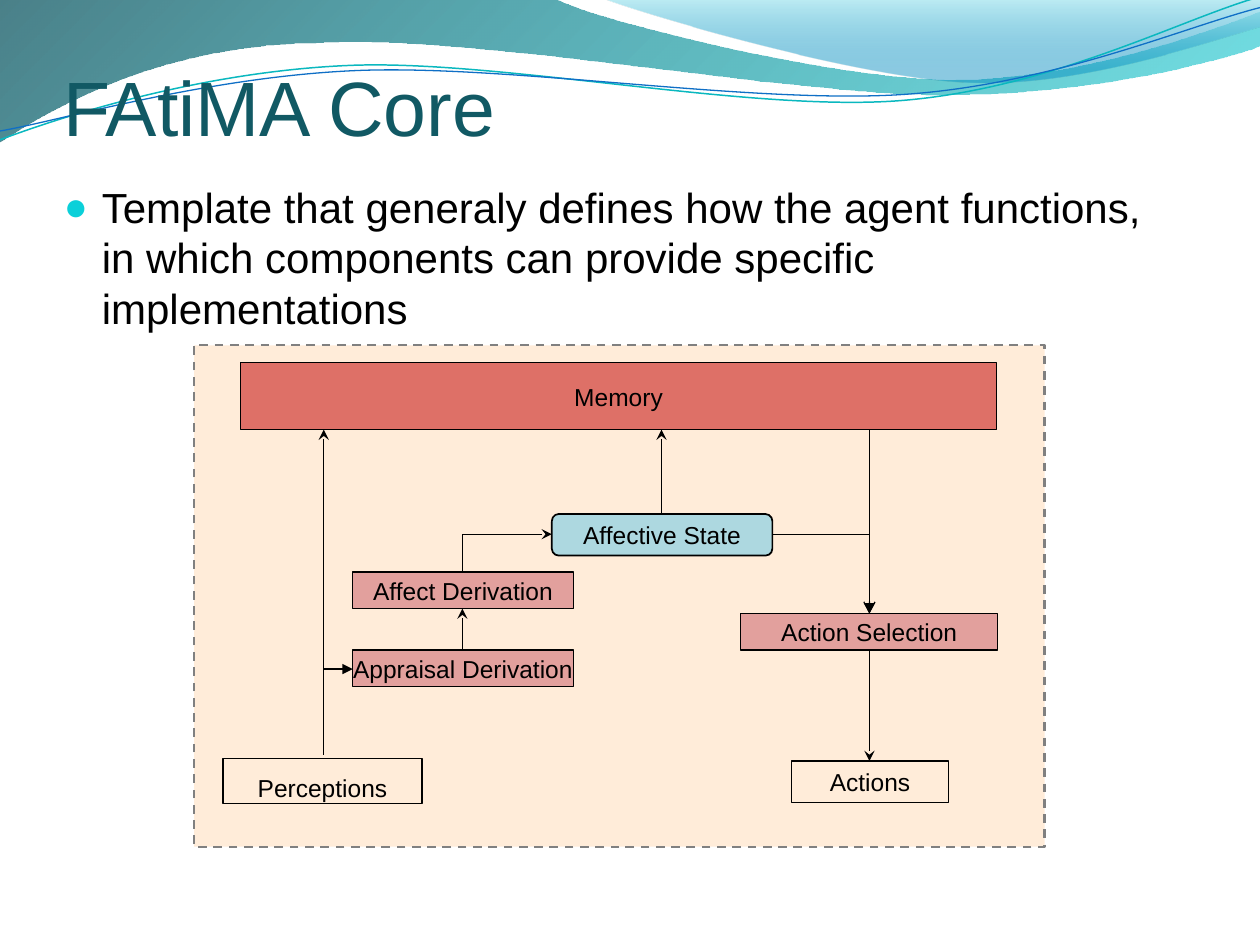
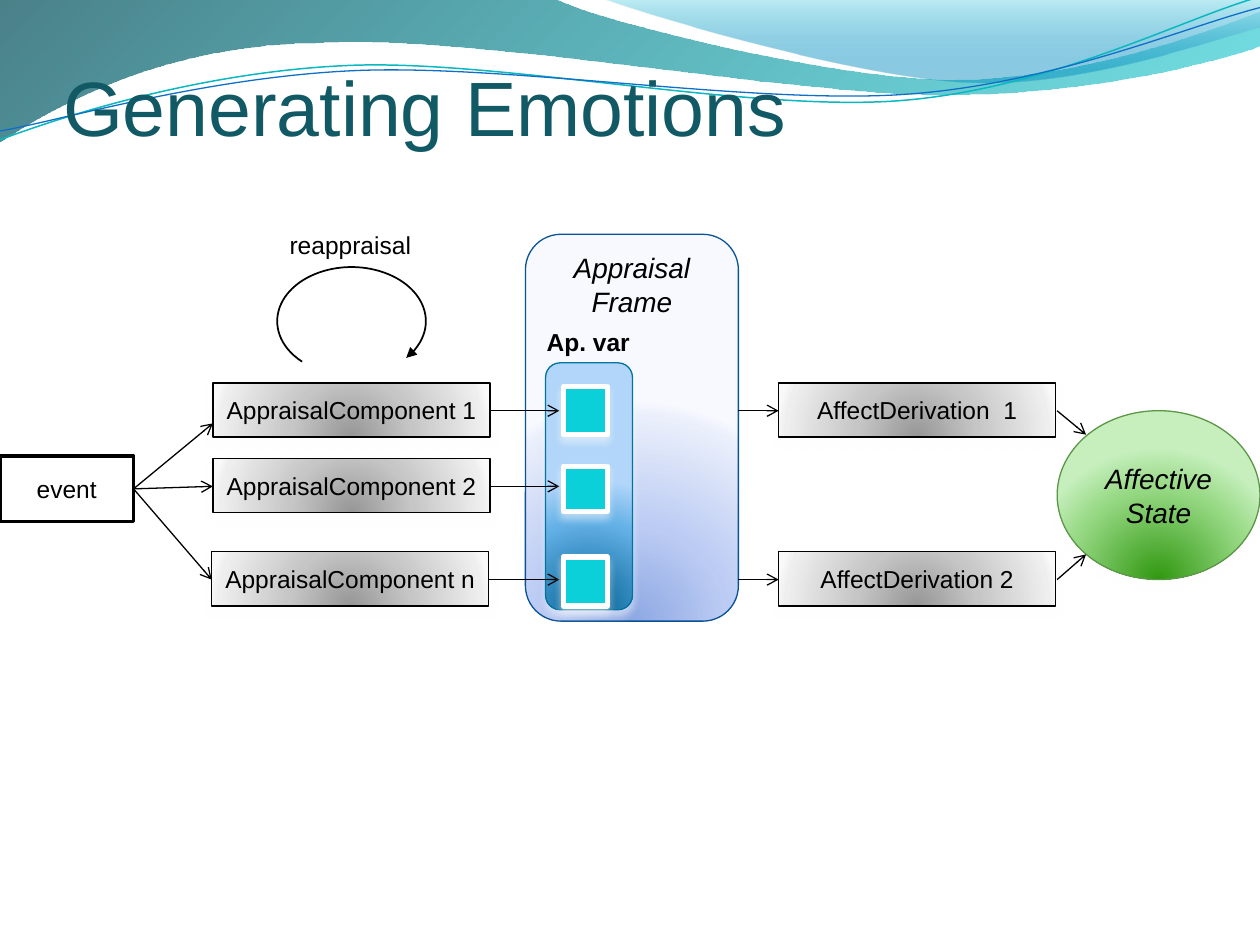
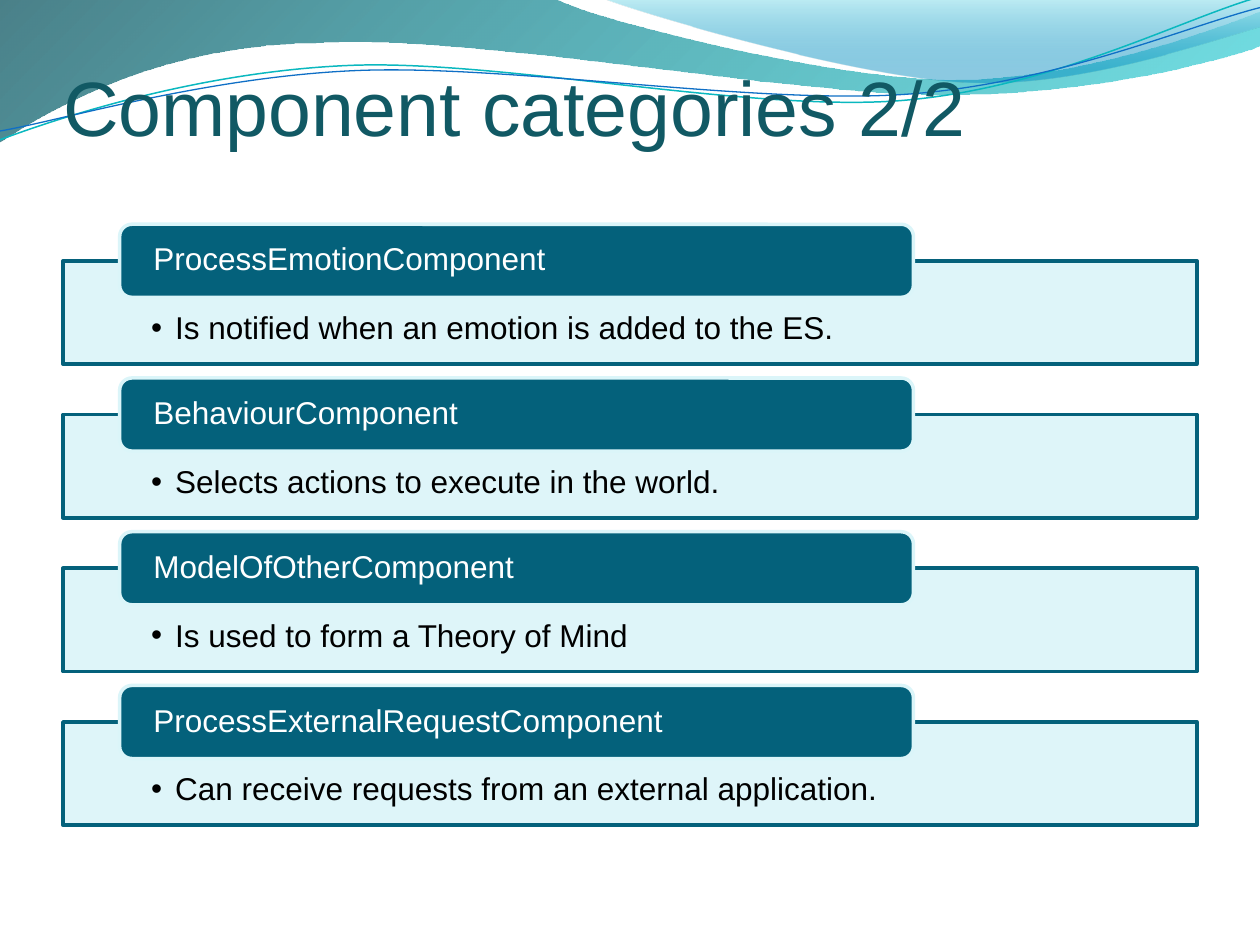
import math
from dataclasses import dataclass
from typing import Optional

from lxml import etree
from pptx import Presentation
from pptx import util as u
from pptx.dml.color import RGBColor
from pptx.enum import dml, shapes, text
from pptx.oxml.ns import qn

FONT = "Arial"
C = {
    "black": "000000", "white": "FFFFFF", "title": "115964", "cyan": "0BD0D9",
    "frame": "FFECD9", "frame_edge": "808080", "process": "A50021",
    "state": "00B0F0", "memory": "C00000", "panel": "DBF5F9", "header": "04617B",
    "wave_teal": "00C6CF", "wave_pale": "B3EAF2", "wave_blue": "008BBF",
    "curve_teal": "0AB8BF", "curve_blue": "0F6FC6",
    "blue_edge": "095295", "column_edge": "0074A1", "green_edge": "5B9747",
}
GREY = [(0, "979797"), (43, "C6C6C6"), (93, "EEEEEE"), (100, "F9F9F9")]
LAVENDER = [(0, "8DA8E3"), (43, "BBCBF3"), (93, "EAEFFB"), (100, "F7F9FF")]
BLUE = [(0, "006091"), (68, "64B1E7"), (100, "B1D6F9")]
GREEN = [(0, "319811"), (68, "95D882"), (100, "C6EFBD")]
KIND = shapes.MSO_SHAPE


@dataclass
class Box:
    x: float
    y: float
    w: float
    h: float
    label: str = ""
    fill: Optional[str] = None
    alpha: int = 100
    glow: Optional[list] = None
    line: str = "black"
    weight: float = 0.75
    shadow: bool = False
    kind: int = KIND.RECTANGLE
    size: float = 14
    italic: bool = False
    wrap: bool = False
    anchor: int = text.MSO_ANCHOR.MIDDLE
    drop: float = 0


@dataclass
class Arrow:
    x1: float
    y1: float
    x2: float
    y2: float
    tail: Optional[str] = "arrow"
    head: Optional[str] = None
    bent: bool = False


@dataclass
class Wave:
    box: tuple
    start: tuple
    steps: list
    stops: Optional[list] = None
    angle: int = 0
    line: Optional[str] = None
    weight: float = 0
    turn: float = 0


WAVES = [
    Wave((-0.01, -0.01, 10.02, 1.14), (0, -0.01), [
        (4.4, -0.01), (4.76, 0.17, 6.64, 0.63, 7.58, 0.63),
        (8.53, 0.63, 9.58, 0.26, 10, 0.09), (10.01, 0.36),
        (9.83, 0.44, 8.7, 0.76, 7.46, 0.75), (6.22, 0.75, 3.82, 0.28, 2.57, 0.34),
        (1.29, 0.35, 0.46, 0.83, -0.01, 1.13), (0, -0.01)],
        [(0, C["title"], 76), (100, C["wave_teal"], 55)], 45),
    Wave((4.79, -0.01, 5.21, 0.7), (4.79, -0.01), [
        (5.09, 0.11, 6.82, 0.62, 7.69, 0.65),
        (8.56, 0.69, 9.61, 0.32, 10, 0.21), (10, 0), (4.79, -0.01)],
        [(0, C["wave_pale"], 84), (80, C["wave_blue"], 45)], 90),
    Wave((-0.02, 0.22, 10.02, 0.71), (0, 1.11), [
        (0.48, 0.93, 1.58, 0.57, 2.77, 0.52), (3.95, 0.47, 5.93, 0.89, 7.13, 0.8),
        (8.33, 0.71, 9.38, 0.15, 9.98, -0.02)],
        line="curve_teal", weight=0.85, turn=-2.7),
    Wave((-0.02, 0.3, 10.03, 0.58), (0, 1.04), [
        (0.47, 0.96, 1.64, 0.61, 2.83, 0.56), (4.03, 0.51, 5.97, 0.83, 7.17, 0.75),
        (8.36, 0.67, 9.41, 0.21, 10, 0.06)],
        line="curve_blue", weight=0.75, turn=-2.7),
]


def rgb(name: str) -> RGBColor:
    return RGBColor.from_string(C[name])


def child(parent, tag: str, **attrs):
    return etree.SubElement(parent, qn(tag), {k: str(v) for k, v in attrs.items()})


def add_alpha(color, percent: int) -> None:
    if percent < 100:
        child(color, "a:alpha", val=percent * 1000)


def solid(sp, name: str, alpha: int = 100) -> None:
    sp.fill.solid()
    sp.fill.fore_color.rgb = rgb(name)
    add_alpha(sp.element.spPr.find(".//" + qn("a:srgbClr")), alpha)


def gradient(sp, stops: list, angle: Optional[int] = None) -> None:
    sp.fill.background()
    grad = etree.Element(qn("a:gradFill"), rotWithShape="1")
    gs_list = child(grad, "a:gsLst")
    for pos, color, *alpha in stops:
        gs = child(gs_list, "a:gs", pos=pos * 1000)
        add_alpha(child(gs, "a:srgbClr", val=color), *(alpha or [100]))
    if angle is None:
        circle = child(grad, "a:path", path="circle")
        child(circle, "a:fillToRect", l=50000, t=130000, r=50000, b=-30000)
    else:
        child(grad, "a:lin", ang=angle * 60000, scaled=1)
    spPr = sp.element.spPr
    spPr.replace(spPr.find(qn("a:noFill")), grad)


def outline(sp, name: str, weight: float) -> None:
    sp.line.color.rgb = rgb(name)
    sp.line.width = u.Pt(weight)


def add_shadow(sp) -> None:
    effects = sp.element.spPr.find(qn("a:effectLst"))
    shadow = child(effects, "a:outerShdw", blurRad=u.Pt(4.5), dist=u.Pt(3),
                   dir=90 * 60000, rotWithShape=0)
    add_alpha(child(shadow, "a:srgbClr", val=C["white"]), 48)


def arrowheads(sp, head: Optional[str], tail: Optional[str]) -> None:
    ln = sp.element.spPr.find(qn("a:ln"))
    for tag, kind in (("a:headEnd", head), ("a:tailEnd", tail)):
        if kind:
            child(ln, tag, type=kind)


def style(p, size: float, color: str = "black", bold: bool = False,
          italic: bool = False) -> None:
    p.font.name, p.font.size = FONT, u.Pt(size)
    p.font.bold, p.font.italic = bold, italic
    p.font.color.rgb = rgb(color)


def add_bullet(p, char: str, indent: float, color: str = "black", size: int = 100) -> None:
    pPr = p._p.get_or_add_pPr()
    pPr.set("marL", str(u.Inches(indent)))
    pPr.set("indent", str(-u.Inches(indent)))
    child(child(pPr, "a:buClr"), "a:srgbClr", val=C[color])
    child(pPr, "a:buSzPct", val=size * 1000)
    child(pPr, "a:buFont", typeface=FONT)
    child(pPr, "a:buChar", char=char)


def set_margins(tf, left: float, top: float, right: float, bottom: float) -> None:
    tf.margin_left, tf.margin_top = u.Inches(left), u.Inches(top)
    tf.margin_right, tf.margin_bottom = u.Inches(right), u.Inches(bottom)


def add_box(s, box: Box):
    sp = s.shapes.add_shape(box.kind, *map(u.Inches, (box.x, box.y, box.w, box.h)))
    if box.glow:
        gradient(sp, box.glow)
    elif box.fill:
        solid(sp, box.fill, box.alpha)
    else:
        sp.fill.background()
    outline(sp, box.line, box.weight)
    sp.shadow.inherit = False
    if box.shadow:
        add_shadow(sp)
    if box.label:
        tf = sp.text_frame
        tf.word_wrap, tf.vertical_anchor = box.wrap, box.anchor
        set_margins(tf, 0.1, 0.05 + box.drop, 0.1, 0.05)
        p = tf.paragraphs[0]
        p.text, p.alignment = box.label, text.PP_ALIGN.CENTER
        style(p, box.size, italic=box.italic)
    return sp


def add_arrow(s, arrow: Arrow) -> None:
    kind = shapes.MSO_CONNECTOR.ELBOW if arrow.bent else shapes.MSO_CONNECTOR.STRAIGHT
    ends = (arrow.x1, arrow.y1, arrow.x2, arrow.y2)
    sp = s.shapes.add_connector(kind, *map(u.Inches, ends))
    if arrow.bent:
        sp.element.spPr.find(qn("a:prstGeom")).set("prst", "bentConnector2")
    outline(sp, "black", 0.75)
    arrowheads(sp, arrow.head, arrow.tail)
    child(sp.element.spPr, "a:effectLst")


def add_label(s, x: float, y: float, w: float, h: float, label: str,
              size: float = 14, bold: bool = False):
    tf = s.shapes.add_textbox(*map(u.Inches, (x, y, w, h))).text_frame
    tf.word_wrap = True
    p = tf.paragraphs[0]
    p.text = label
    style(p, size, bold=bold)
    return p


def local_point(wave: Wave, x: float, y: float) -> tuple:
    left, top, w, h = wave.box
    angle = math.radians(-wave.turn)
    dx, dy = x - left - w / 2, y - top - h / 2
    return (u.Inches(w / 2 + dx * math.cos(angle) - dy * math.sin(angle)),
            u.Inches(h / 2 + dx * math.sin(angle) + dy * math.cos(angle)))


def draw_curves(sp, wave: Wave) -> None:
    sp.left, sp.top, sp.width, sp.height = map(u.Inches, wave.box)
    sp.rotation = wave.turn
    outline_path = sp.element.spPr.find(".//" + qn("a:path"))
    outline_path.clear()
    outline_path.set("w", str(sp.width))
    outline_path.set("h", str(sp.height))
    tags = {2: "a:lnTo", 6: "a:cubicBezTo"}
    moves = [("a:moveTo", wave.start)] + [(tags[len(st)], st) for st in wave.steps]
    for tag, coords in moves:
        move = child(outline_path, tag)
        for x, y in zip(coords[::2], coords[1::2]):
            px, py = local_point(wave, x, y)
            child(move, "a:pt", x=px, y=py)
    if wave.stops:
        child(outline_path, "a:close")


def add_waves(s, layout) -> None:
    for i, wave in enumerate(WAVES):
        builder = s.shapes.build_freeform(*map(u.Inches, wave.start))
        builder.add_line_segments(
            [tuple(map(u.Inches, step[-2:])) for step in wave.steps], close=False)
        sp = builder.convert_to_shape()
        draw_curves(sp, wave)
        if wave.stops:
            gradient(sp, wave.stops, wave.angle)
            sp.line.fill.background()
        else:
            sp.fill.background()
            outline(sp, wave.line, wave.weight)
        sp.shadow.inherit = False
        sp.element.xpath(".//p:cNvPr")[0].set("id", str(100 + i))
        layout.shapes.element.insert(2 + i, sp.element)


def add_slide(prs, title: str):
    s = prs.slides.add_slide(prs.slide_layouts[5])
    sp = s.shapes.title
    sp.left, sp.top, sp.width, sp.height = map(u.Inches, (0.5, 0.42, 9, 1.25))
    tf = sp.text_frame
    tf.auto_size, tf.vertical_anchor = text.MSO_AUTO_SIZE.NONE, text.MSO_ANCHOR.TOP
    set_margins(tf, 0, 0.05, 0, 0)
    p = tf.paragraphs[0]
    p.text, p.alignment = title, text.PP_ALIGN.LEFT
    style(p, 44, "title")
    return s


def build_core(s) -> None:
    p = add_label(s, 0.41, 1.39, 9, 1.2,
                  "Template that generaly defines how the agent functions, "
                  "in which components can provide specific implementations", 24)
    p.space_before = u.Pt(2)
    add_bullet(p, "●", 0.3, "cyan", 95)

    frame = add_box(s, Box(1.54, 2.74, 6.75, 3.98, fill="frame",
                           line="frame_edge", weight=1.25))
    frame.line.dash_style = dml.MSO_LINE.DASH
    process = dict(fill="process", alpha=32)
    for box in (
        Box(6.28, 6.04, 1.25, 0.33, "Actions"),
        Box(1.77, 6.02, 1.58, 0.36, "Perceptions", drop=0.1),
        Box(2.8, 5.16, 1.75, 0.29, "Appraisal Derivation", **process),
        Box(2.8, 4.54, 1.75, 0.29, "Affect Derivation", **process),
        Box(5.88, 4.87, 2.04, 0.29, "Action Selection", **process),
        Box(4.38, 4.08, 1.75, 0.33, "Affective State", "state", 32, weight=1,
            kind=KIND.ROUNDED_RECTANGLE),
        Box(1.91, 2.88, 6, 0.53, "Memory", "memory", 52),
    ):
        add_box(s, box)
    for arrow in (
        Arrow(6.9, 5.16, 6.9, 6.04, "stealth"),
        Arrow(2.57, 5.99, 2.57, 3.41, "stealth"),
        Arrow(4.38, 4.24, 3.67, 4.54, None, "stealth", True),
        Arrow(5.25, 4.08, 5.25, 3.41, "stealth"),
        Arrow(3.67, 5.16, 3.67, 4.83, "stealth"),
        Arrow(2.57, 5.31, 2.8, 5.31, "triangle"),
        Arrow(6.13, 4.24, 6.9, 4.87, "triangle", bent=True),
        Arrow(6.9, 3.41, 6.9, 4.87),
    ):
        add_arrow(s, arrow)


def build_emotions(s) -> None:
    rounded = KIND.ROUNDED_RECTANGLE
    for x, y, label in (
        (1.69, 3.04, "AppraisalComponent 1"), (1.69, 3.64, "AppraisalComponent 2"),
        (1.68, 4.38, "AppraisalComponent n"),
        (6.18, 3.04, "AffectDerivation  1"), (6.18, 4.38, "AffectDerivation 2"),
    ):
        add_box(s, Box(x, y, 2.2, 0.43, label, glow=GREY, shadow=True))
    for box in (
        Box(0, 3.62, 1.06, 0.52, "event", "white", weight=2),
        Box(4.17, 1.86, 1.69, 3.07, "Appraisal Frame", glow=LAVENDER, line="blue_edge",
            shadow=True, kind=rounded, size=16, italic=True, wrap=True,
            anchor=text.MSO_ANCHOR.TOP),
        Box(4.33, 2.88, 0.69, 1.96, glow=BLUE, line="column_edge", shadow=True,
            kind=rounded),
        Box(8.39, 3.26, 1.61, 1.34, "Affective State", glow=GREEN, line="green_edge",
            shadow=True, kind=KIND.OVAL, size=16, italic=True, wrap=True),
    ):
        add_box(s, box)
    for x, y, event_y in ((1.69, 3.26, 3.36), (1.69, 3.86, 3.86), (1.68, 4.6, 4.6)):
        add_arrow(s, Arrow(1.06, 3.88, x, event_y))
        add_arrow(s, Arrow(x + 2.2, y, 4.44, y))
    for y, state_y in ((3.26, 3.45), (4.6, 4.4)):
        add_arrow(s, Arrow(5.86, y, 6.18, y))
        add_arrow(s, Arrow(8.39, y, 8.62, state_y))
    for y, h in ((3.07, 0.38), (3.7, 0.36), (4.42, 0.39)):
        add_box(s, Box(4.47, y, 0.35, h, fill="cyan", line="white", weight=3,
                       shadow=True))
    add_label(s, 4.24, 2.55, 0.87, 0.34, "Ap. var", bold=True)
    loop = add_box(s, Box(2.2, 2.12, 1.18, 0.86, weight=1, kind=KIND.ARC))
    loop.adjustments[0], loop.adjustments[1] = 84.41, 20.34
    arrowheads(loop, None, "triangle")
    add_label(s, 2.2, 1.78, 1.18, 0.34, "reappraisal")


def build_categories(s) -> None:
    categories = (
        ("ProcessEmotionComponent", "Is notified when an emotion is added to the ES."),
        ("BehaviourComponent", "Selects actions to execute in the world."),
        ("ModelOfOtherComponent", "Is used to form a Theory of Mind"),
        ("ProcessExternalRequestComponent",
         "Can receive requests from an external application."),
    )
    for i, (name, detail) in enumerate(categories):
        top = 1.78 + 1.22 * i
        panel = add_box(s, Box(0.5, top + 0.29, 9, 0.82, detail, "panel", 90,
                               line="header", weight=2, size=18, wrap=True,
                               anchor=text.MSO_ANCHOR.TOP))
        header = add_box(s, Box(0.95, top, 6.3, 0.58, name, "header", line="panel",
                                weight=2, size=18, wrap=True,
                                kind=KIND.ROUNDED_RECTANGLE))
        set_margins(panel.text_frame, 0.7, 0.41, 0.7, 0.14)
        set_margins(header.text_frame, 0.24, 0, 0.24, 0)
        for sp in (panel, header):
            p = sp.text_frame.paragraphs[0]
            p.alignment, p.line_spacing = text.PP_ALIGN.LEFT, 0.9
        add_bullet(panel.text_frame.paragraphs[0], "•", 0.19)
        header.text_frame.paragraphs[0].font.color.rgb = rgb("white")


def main() -> None:
    prs = Presentation()
    prs.slide_width, prs.slide_height = u.Inches(10), u.Inches(7.5)
    core = add_slide(prs, "FAtiMA Core")
    add_waves(core, prs.slide_layouts[5])
    build_core(core)
    build_emotions(add_slide(prs, "Generating Emotions"))
    build_categories(add_slide(prs, "Component categories 2/2"))
    prs.save("out.pptx")


if __name__ == "__main__":
    main()
